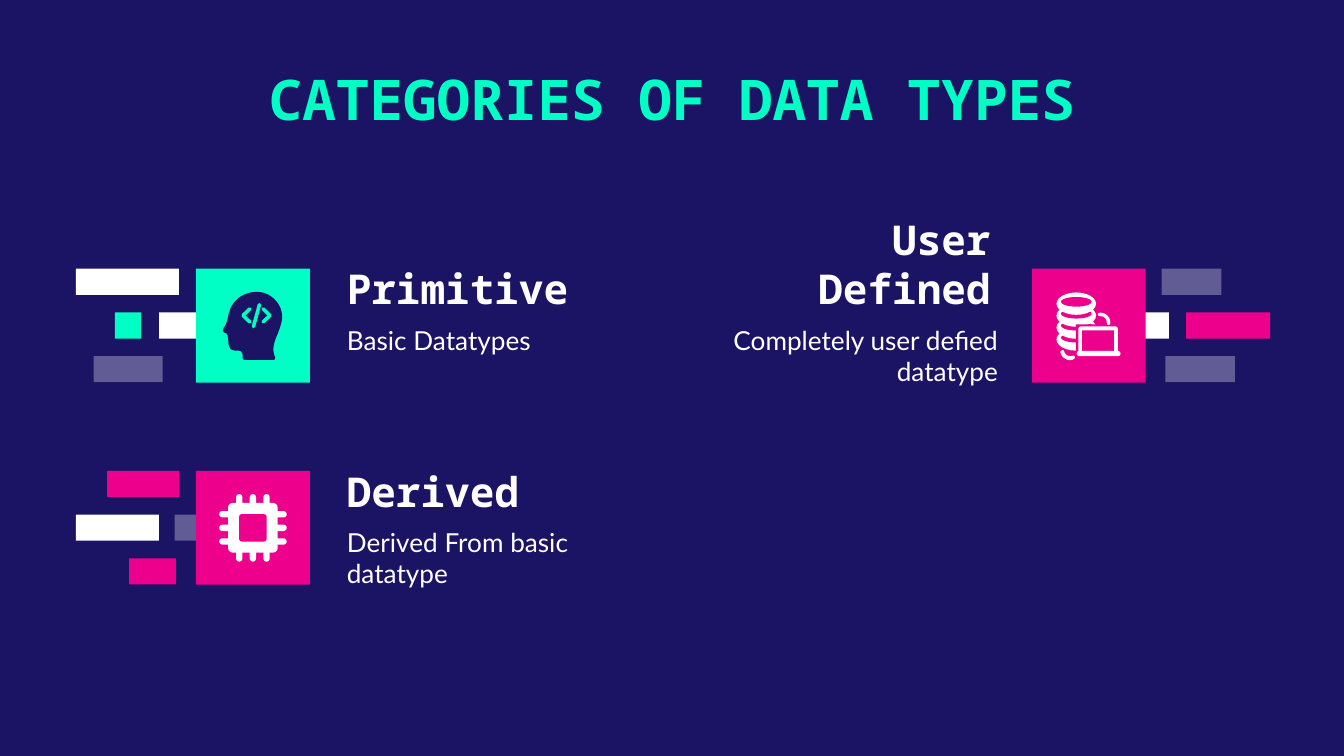
import dataclasses
import itertools

import pptx
import pptx.dml.color
import pptx.enum.shapes
import pptx.enum.text
import pptx.oxml
import pptx.oxml.ns
import pptx.util

Pt = pptx.util.Pt
KIND = pptx.enum.shapes.MSO_SHAPE
ALIGN = pptx.enum.text.PP_ALIGN
ANCHOR = pptx.enum.text.MSO_ANCHOR


@dataclasses.dataclass(frozen=True)
class Theme:
    navy: str = "1B1464"
    mint: str = "00FFC5"
    pink: str = "EC008C"
    white: str = "FFFFFF"
    display: str = "Noto Sans Mono"
    text: str = "Lato"
    title_size: float = 30
    heading_size: float = 22
    description_size: float = 14
    haze: int = 31  # opacity of the faint bars, percent


class Board:
    """Holds the theme and the current slide; all lengths are in points."""

    def __init__(self, theme, slide):
        self.theme, self.slide = theme, slide
        self.shapes = slide.shapes
        slide.background.fill.solid()
        slide.background.fill.fore_color.rgb = self.rgb(theme.navy)
        heading = dict(name=theme.display, bold=True)
        self.styles = {
            "title": (dict(heading, size=Pt(theme.title_size)), theme.mint, ANCHOR.TOP, 7.2, 7.2),
            "heading": (dict(heading, size=Pt(theme.heading_size)), theme.white, ANCHOR.BOTTOM, 0, 0),
            "description": (dict(name=theme.text, bold=False, size=Pt(theme.description_size)),
                            theme.white, ANCHOR.TOP, 0, 7.2),
        }

    @staticmethod
    def rgb(value):
        return pptx.dml.color.RGBColor.from_string(value)

    def paint(self, shape, color, opacity=100):
        shape.shadow.inherit = False
        shape.fill.solid()
        shape.fill.fore_color.rgb = self.rgb(color)
        shape.line.fill.background()
        if opacity < 100:
            tint = shape._element.spPr.find(".//" + pptx.oxml.ns.qn("a:srgbClr"))
            alpha = pptx.oxml.parse_xml(f'<a:alpha {pptx.oxml.ns.nsdecls("a")} val="{opacity * 1000}"/>')
            tint.append(alpha)

    def block(self, box, color, opacity=100, kind=KIND.RECTANGLE, radius=0):
        if radius:
            kind = KIND.ROUNDED_RECTANGLE
        shape = self.shapes.add_shape(kind, *map(Pt, box))
        if radius:
            shape.adjustments[0] = radius / min(box[2:])
        self.paint(shape, color, opacity)

    def curve(self, origin, start, segments, color):
        """Fill an outline of cubic segments (two controls and an end each)."""
        points, here, steps = [], start, 8
        for ax, ay, bx, by, x, y in segments:
            for t in (step / steps for step in range(1, steps + 1)):
                weights = ((1 - t) ** 3, 3 * t * (1 - t) ** 2, 3 * t * t * (1 - t), t ** 3)
                points.append(tuple(
                    Pt(offset + sum(w * v for w, v in zip(weights, values)))
                    for offset, values in zip(origin, ((here[0], ax, bx, x), (here[1], ay, by, y)))))
            here = (x, y)
        builder = self.shapes.build_freeform(*(Pt(o + s) for o, s in zip(origin, start)))
        builder.add_line_segments(points, close=True)
        self.paint(builder.convert_to_shape(), color)

    def stroke(self, origin, points, color, width):
        for (x1, y1), (x2, y2) in itertools.pairwise(points):
            ends = (origin[0] + x1, origin[1] + y1, origin[0] + x2, origin[1] + y2)
            line = self.shapes.add_connector(pptx.enum.shapes.MSO_CONNECTOR.STRAIGHT, *map(Pt, ends))
            line.line.color.rgb = self.rgb(color)
            line.line.width = Pt(width)
            properties = line._element.spPr
            properties.find(pptx.oxml.ns.qn("a:ln")).set("cap", "rnd")
            properties.append(pptx.oxml.parse_xml(f'<a:effectLst {pptx.oxml.ns.nsdecls("a")}/>'))

    def label(self, words, box, style, align, slot=None):
        """Put words in the placeholder numbered slot, or in a new text box."""
        font, color, anchor, top, bottom = self.styles[style]
        if slot is None:
            holder = self.shapes.add_textbox(*map(Pt, box))
        else:
            holder = self.slide.placeholders[slot]
            for side, value in zip(("left", "top", "width", "height"), box):
                setattr(holder, side, Pt(value))
        frame = holder.text_frame
        frame.text = words
        layout = dict(word_wrap=True, auto_size=pptx.enum.text.MSO_AUTO_SIZE.NONE, vertical_anchor=anchor,
                      margin_left=Pt(7.2), margin_right=Pt(7.2), margin_top=Pt(top), margin_bottom=Pt(bottom))
        paragraph = frame.paragraphs[0]
        spacing = dict(alignment=align, space_before=Pt(0), line_spacing=1.0)
        for target, values in ((frame, layout), (paragraph, spacing), (paragraph.runs[0].font, font)):
            for name, value in values.items():
                setattr(target, name, value)
        paragraph.runs[0].font.color.rgb = self.rgb(color)
        indents = paragraph._p.get_or_add_pPr()
        indents.set("marL", "0")
        indents.set("indent", "0")
        indents.append(pptx.oxml.parse_xml(f'<a:buNone {pptx.oxml.ns.nsdecls("a")}/>'))


TILE = 61
BAR_HEIGHT, BAR_STEP = 14, 23.4


def draw_head(board, x, y):
    outline = [
        (28.8, 12.4, 25.9, 13.5, 23, 15.5), (20.9, 17.3, 18.7, 19.8, 18, 22.7),
        (17.3, 24.5, 17.3, 25.2, 17.1, 26.2), (16.6, 28.1, 16.4, 29.5, 14.9, 31.7),
        (14.4, 32.4, 14.4, 32.8, 14.5, 33.5), (14.9, 34.3, 15.8, 34.4, 16.2, 34.7),
        (17.3, 35.5, 17, 37, 17.3, 38.5), (17.3, 39.6, 17.3, 41, 18.2, 42.5),
        (19, 43.9, 20.9, 43.9, 22.3, 43.9), (23.8, 43.9, 24.5, 44.3, 24.9, 45.7),
        (25.2, 47, 24.5, 48.8, 26, 48.8), (31, 48.8, 36, 48.8, 41.7, 48.8),
        (42.3, 48.8, 42.6, 48.1, 42.3, 47.3), (40.5, 43, 42, 38.9, 43.9, 34.6),
        (44.9, 31.7, 45.9, 29.5, 46.1, 26.6), (46.3, 23.4, 45.4, 20.3, 43.2, 17.6),
        (40.3, 14.2, 36.7, 12.4, 32.4, 12.4)]
    mint = board.theme.mint
    board.curve((x, y), (32.4, 12.4), outline, board.theme.navy)
    for tip, ends in ((25.2, 28.8), (39.6, 36)):
        board.stroke((x, y), [(ends, 21.5), (tip, 25), (ends, 28.5)], mint, 1.9)
    board.stroke((x, y), [(34, 19.2), (30.8, 31)], mint, 1.9)


def draw_chip(board, x, y):
    def centred(width, height, color, radius, dx=0, dy=0):
        left, top = x + (TILE - width) / 2 + dx, y + (TILE - height) / 2 + dy
        board.block((left, top, width, height), color, radius=radius)

    for shift in (-7.3, 0, 7.3):  # pins
        centred(3.4, 36.2, board.theme.white, 1.7, dx=shift)
        centred(36.2, 3.4, board.theme.white, 1.7, dy=shift)
    centred(26.6, 26.6, board.theme.white, 2.4)
    centred(14.8, 14.8, board.theme.pink, 1.6)


def draw_database(board, x, y):
    white, pink = board.theme.white, board.theme.pink
    for level in (3, 2, 1, 0):  # discs, lowest first
        top = y + 12.7 + 6.4 * level
        board.block((x + 13.2, top, 21.2, 12), white, kind=KIND.OVAL)
        board.block((x + 15.6, top + 2.4, 16.4, 5.2), pink, kind=KIND.OVAL)
    # Laptop with a clear margin around it
    board.block((x + 23.5, y + 29.8, 24, 15.5), pink)
    board.block((x + 24.9, y + 30.9, 21.2, 14.4), white, radius=1.4)
    board.block((x + 27, y + 33, 17, 11), pink)
    board.block((x + 24, y + 44, 23.5, 2.8), white, radius=1.4)
    # Exchange arcs
    board.curve((x, y), (36.7, 23.5), [
        (34.9, 23.5, 34.9, 25.4, 36.7, 25.4), (38.8, 25.4, 40.1, 26.9, 40.1, 28.8),
        (40.1, 30.6, 42, 30.6, 42, 28.8), (42, 25.9, 39.6, 23.5, 36.7, 23.5)], white)
    board.curve((x, y), (16.6, 43.6), [
        (15.6, 43.6, 14.9, 44.4, 15.5, 45.4), (16.3, 48.2, 20.3, 49.9, 22.4, 48.4),
        (23.7, 47.8, 23, 46.4, 21.9, 46.6), (19.8, 47.1, 18.2, 46.5, 17.4, 44.6),
        (17.3, 44, 17, 43.6, 16.6, 43.6)], white)


def main():
    theme = Theme()
    deck = pptx.Presentation()
    deck.slide_width, deck.slide_height = Pt(720), Pt(405)
    board = Board(theme, deck.slides.add_slide(deck.slide_layouts.get_by_name("Comparison")))
    board.label("CATEGORIES OF DATA TYPES", (100.8, 27.4, 518.4, 52.6), "title", ALIGN.CENTER, 0)

    # Name, description, tile corner, tile colour, icon, text lefts, placeholders, bars (row, left, width, colour)
    haze = None
    categories = [
        ("Primitive", "Basic Datatypes", (105, 144), theme.mint, draw_head, (178.6, 178.6), ALIGN.LEFT, (1, 2),
         [(0, 40.7, 55.2, theme.white), (1, 61.6, 14, theme.mint), (1, 85.2, 25, theme.white), (2, 50.2, 37, haze)]),
        ("Derived", "Derived From basic datatype", (105, 252.3), theme.pink, draw_chip, (178.6, 178.6),
         ALIGN.LEFT, (3, 4),
         [(0, 57.4, 38.6, theme.pink), (1, 40.7, 44.5, theme.white), (1, 93.6, 17, haze), (2, 69.1, 25.2, theme.pink)]),
        ("User Defined", "Completely user defied datatype", (552.8, 144), theme.pink, draw_database,
         (367.2, 371.2), ALIGN.RIGHT, (None, None),
         [(0, 622.3, 32, haze), (1, 609, 17.2, theme.white), (1, 635.4, 45, theme.pink), (2, 624.4, 37.2, haze)]),
    ]
    for name, description, (x, y), color, icon, lefts, align, slots, bars in categories:
        for row, left, width, bar_color in bars:
            board.block((left, y + row * BAR_STEP, width, BAR_HEIGHT), bar_color or theme.white,
                        100 if bar_color else theme.haze)
        board.block((x, y, TILE, TILE), color)
        icon(board, x, y)
        board.label(name, (lefts[0], y - 4.3, 170.6, 28.1), "heading", align, slots[0])
        board.label(description, (lefts[1], y + 29.5, 170.6, 32.4), "description", align, slots[1])

    deck.save("out.pptx")


if __name__ == "__main__":
    main()
